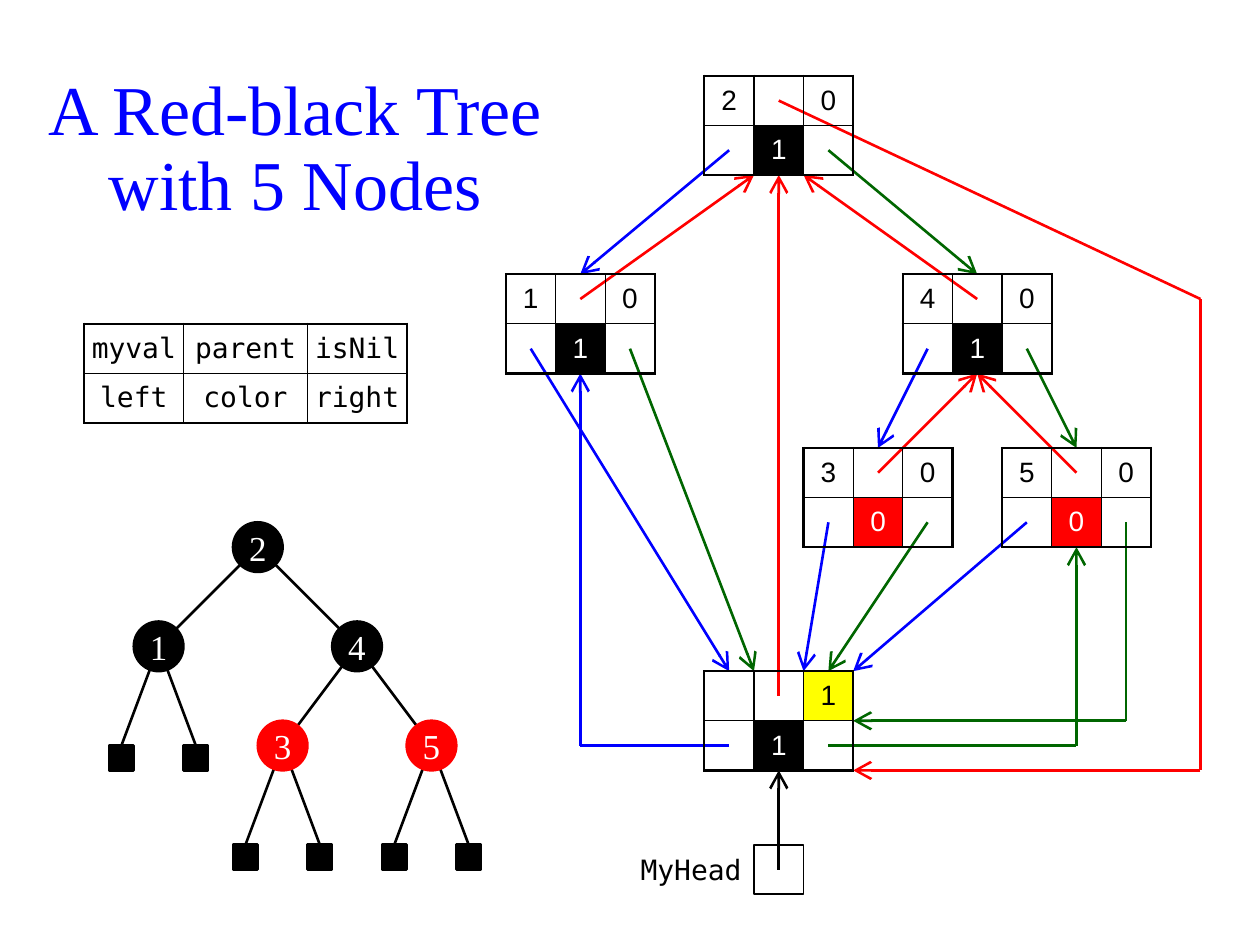
from lxml.etree import SubElement as Sub
from pptx import Presentation
from pptx.dml.color import RGBColor
from pptx.enum.shapes import MSO_CONNECTOR as Conn, MSO_SHAPE as Kind
from pptx.enum.text import MSO_ANCHOR as Anchor, PP_ALIGN as Align
from pptx.oxml.ns import qn
from pptx.util import Pt

BLACK = RGBColor(0x00, 0x00, 0x00)
WHITE = RGBColor(0xFF, 0xFF, 0xFF)
RED = RGBColor(0xFF, 0x00, 0x00)
GREEN = RGBColor(0x00, 0x66, 0x00)
BLUE = RGBColor(0x00, 0x00, 0xFF)
YELLOW = RGBColor(0xFF, 0xFF, 0x00)
SERIF, SANS, MONO = "Times New Roman", "Arial", "DejaVu Sans Mono"

# All places are counted in grid steps from this corner
STEP, LEFT, TOP = 28.35, 5.6, 0.8

deck = Presentation()
deck.slide_width, deck.slide_height = Pt(720), Pt(540)
slide = deck.slides.add_slide(deck.slide_layouts[6])
shapes = slide.shapes


def write(frame, text, font=SERIF, size=16, color=BLACK, align=Align.CENTER,
          space=None):
    frame.word_wrap = True
    par = frame.paragraphs[0]
    par.alignment = align
    par.line_spacing = space
    run = par.add_run()
    run.text = text
    run.font.name, run.font.size = font, Pt(size)
    run.font.color.rgb = color


def link(start, end, color=BLACK, arrow=False):
    (x1, y1), (x2, y2) = start, end
    line = shapes.add_connector(
        Conn.STRAIGHT, Pt(LEFT + x1 * STEP), Pt(TOP + y1 * STEP),
        Pt(LEFT + x2 * STEP), Pt(TOP + y2 * STEP))
    line.line.color.rgb, line.line.width = color, Pt(1.5)
    props = line._element.spPr
    if arrow:
        Sub(props.find(qn("a:ln")), qn("a:tailEnd"),
            type="arrow", w="lg", len="lg")
    Sub(props, qn("a:effectLst"))
    return line


# Title and head label: text, place, size, format
for text, x, y, wide, high, form in [
    ("A Red-black Tree with 5 Nodes", 0.5, 1.5, 10.5, 3,
     dict(size=40, color=BLUE, space=0.9)),
    ("MyHead", 12, 17, 3, 1, dict(font=MONO, align=Align.RIGHT)),
]:
    box = shapes.add_textbox(Pt(LEFT + x * STEP), Pt(TOP + y * STEP),
                             Pt(wide * STEP), Pt(high * STEP))
    box.text_frame.vertical_anchor = Anchor.MIDDLE
    write(box.text_frame, text, **form)

# Head pointer box and its arrow
box = shapes.add_shape(Kind.RECTANGLE, Pt(LEFT + 15 * STEP),
                       Pt(TOP + 17 * STEP), Pt(STEP), Pt(STEP))
box.shadow.inherit = False
box.fill.solid()
box.fill.fore_color.rgb = WHITE
box.line.color.rgb, box.line.width = BLACK, Pt(1)
link((15.5, 17.5), (15.5, 15.5), arrow=True)

# Records: place, then the values of myval, isNil and color
records = {
    "two": (14, 1.5, "2", "0", "1"),
    "one": (10, 5.5, "1", "0", "1"),
    "four": (18, 5.5, "4", "0", "1"),
    "three": (16, 9, "3", "0", "0"),
    "five": (20, 9, "5", "0", "0"),
    "head": (14, 13.5, "", "1", "1"),
}
HUES = {"0": RED, "1": BLACK}

# A pointer starts in the middle of its field's cell
FIELDS = {"left": (0.5, 1.5, BLUE), "right": (2.5, 1.5, GREEN),
          "parent": (1.5, 0.5, RED)}
# It ends at a spot on the edge of the target, three wide and two high
ABOVE, BELOW = (1.5, 0), (1.5, 2)

# Pointers: owner, field, target, spot on the target, corners on the way
for owner, field, target, spot, *bends in [
    ("two", "left", "one", ABOVE),
    ("two", "right", "four", ABOVE),
    ("four", "left", "three", ABOVE),
    ("four", "right", "five", ABOVE),
    ("one", "parent", "two", (1, 2)),
    ("four", "parent", "two", (2, 2)),
    ("three", "parent", "four", BELOW),
    ("five", "parent", "four", BELOW),
    ("one", "left", "head", (0.5, 0)),
    ("one", "right", "head", (1, 0)),
    ("three", "left", "head", (2, 0)),
    ("three", "right", "head", (2.5, 0)),
    ("five", "left", "head", (3, 0)),
    ("five", "right", "head", (3, 1), (22.5, 14.5)),
    ("two", "parent", "head", (3, 2), (24, 6), (24, 15.5)),
    ("head", "left", "one", BELOW, (11.5, 15)),
    ("head", "right", "five", BELOW, (21.5, 15)),
    ("head", "parent", "two", BELOW),
]:
    x1, y1 = records[owner][:2]
    x2, y2 = records[target][:2]
    dx, dy, color = FIELDS[field]
    points = [(x1 + dx, y1 + dy), *bends, (x2 + spot[0], y2 + spot[1])]
    for start, end in zip(points, points[1:]):
        link(start, end, color, arrow=end == points[-1])

# Legend and records as tables: place, column widths, font, rows
grids = [(1.5, 6.5, (2, 2.5, 2), MONO,
          [("myval", "parent", "isNil"), ("left", "color", "right")])]
for x, y, key, nil, flag in records.values():
    grids.append((x, y, (1, 1, 1), SANS, [(key, "", nil), ("", flag, "")]))

for x, y, widths, font, rows in grids:
    table = shapes.add_table(
        2, 3, Pt(LEFT + x * STEP), Pt(TOP + y * STEP),
        Pt(sum(widths) * STEP), Pt(2 * STEP)).table
    table.first_row = table.horz_banding = False
    for col, wide in zip(table.columns, widths):
        col.width = Pt(wide * STEP)
    for r, row in enumerate(rows):
        table.rows[r].height = Pt(STEP)
        for c, text in enumerate(row):
            cell = table.cell(r, c)
            cell.margin_left = cell.margin_right = 0
            cell.margin_top = cell.margin_bottom = 0
            cell.vertical_anchor = Anchor.MIDDLE
            # Outer borders are twice as thick as inner ones
            for side, outer in [("L", c == 0), ("R", c == 2),
                                ("T", r == 0), ("B", r == 1)]:
                edge = Sub(cell._tc.get_or_add_tcPr(), qn("a:ln" + side),
                           w=str(Pt(1.5 if outer else 0.75)))
                Sub(Sub(edge, qn("a:solidFill")), qn("a:srgbClr"),
                    val=str(BLACK))
            # The color cell shows its hue, a set isNil cell is yellow
            fill, ink = None, BLACK
            if (r, c) == (1, 1) and text in HUES:
                fill, ink = HUES[text], WHITE
            elif (r, c) == (0, 2) and text == "1":
                fill = YELLOW
            if fill is None:
                cell.fill.background()
            else:
                cell.fill.solid()
                cell.fill.fore_color.rgb = fill
            if text:
                write(cell.text_frame, text, font=font, color=ink)

# Small tree: node centres, and branches from parent to child
knots = {"2": (5, 11, BLACK), "1": (3, 13, BLACK), "4": (7, 13, BLACK),
         "3": (5.5, 15, RED), "5": (8.5, 15, RED)}
for top, low in ["21", "24", "43", "45"]:
    link(knots[top][:2], knots[low][:2])

# Two square leaves under each outer node, then the round nodes on top
marks = []
for key in "135":
    x, y, color = knots[key]
    for side in (-0.75, 0.75):
        marks.append((Kind.RECTANGLE, x + side, y + 2.25, 0.5, BLACK, "", key))
for key, (x, y, color) in knots.items():
    marks.append((Kind.OVAL, x, y, 1, color, key, None))

for kind, x, y, size, color, text, owner in marks:
    mark = shapes.add_shape(
        kind, Pt(LEFT + (x - size / 2) * STEP),
        Pt(TOP + (y - size / 2) * STEP), Pt(size * STEP), Pt(size * STEP))
    mark.shadow.inherit = False
    mark.fill.solid()
    mark.fill.fore_color.rgb = mark.line.color.rgb = color
    mark.line.width = Pt(1.5)
    if owner:
        stem = link(knots[owner][:2], (x, y - size / 2))
        stem.end_connect(mark, 0)
    else:
        frame = mark.text_frame
        frame.margin_left = frame.margin_right = 0
        frame.margin_top = frame.margin_bottom = 0
        frame.vertical_anchor = Anchor.MIDDLE
        write(frame, text, size=20, color=WHITE)

deck.save("out.pptx")
